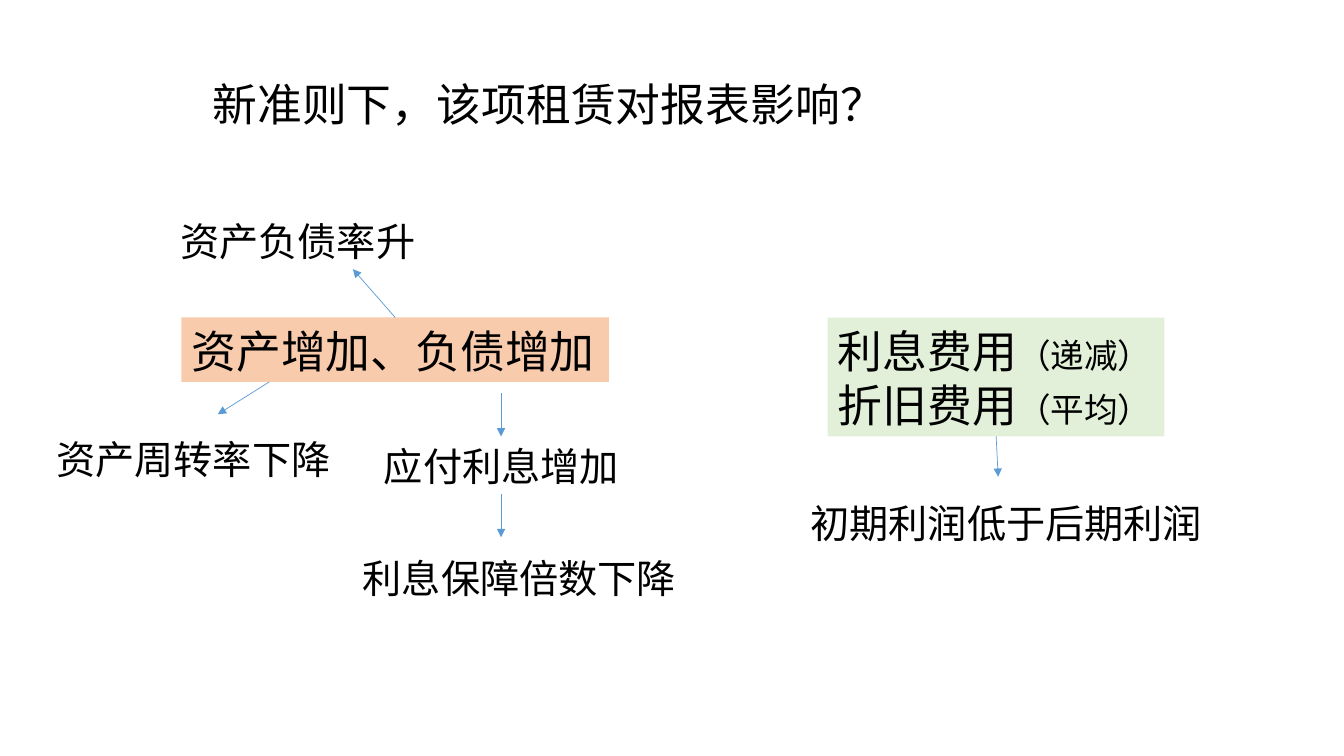
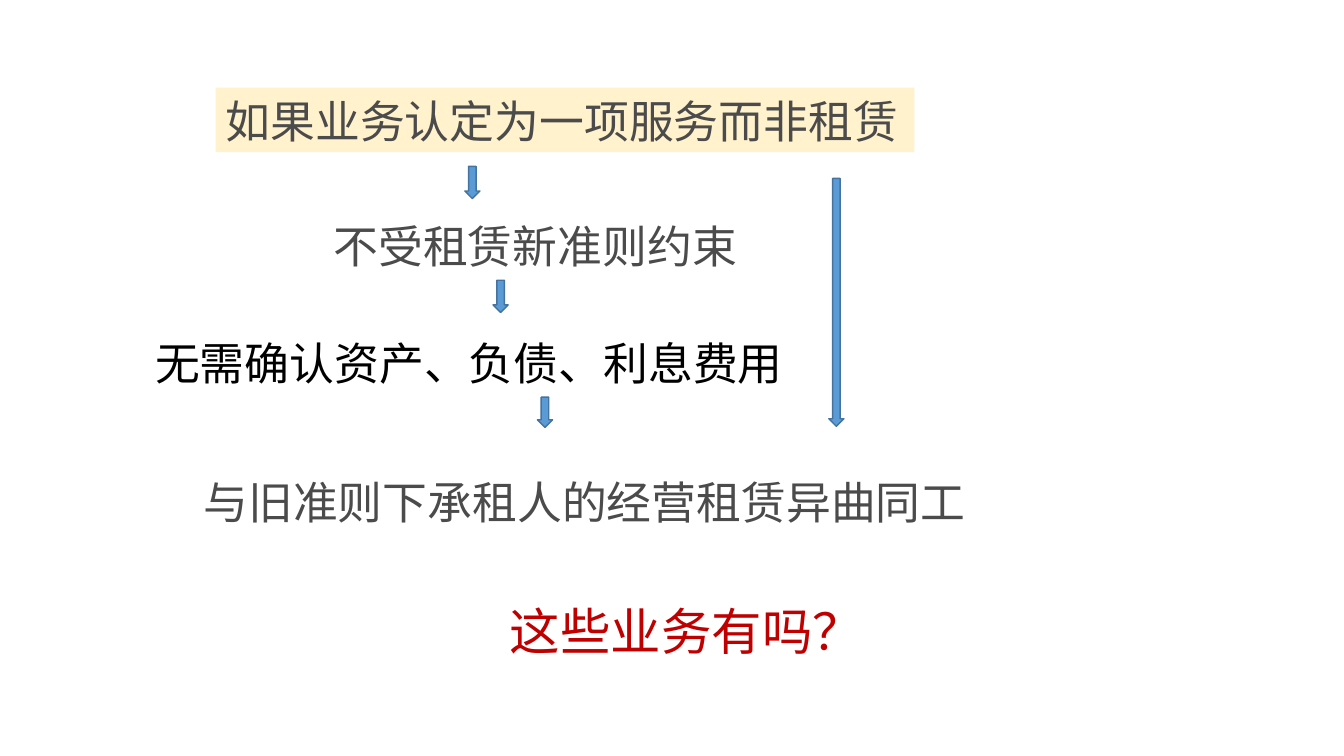
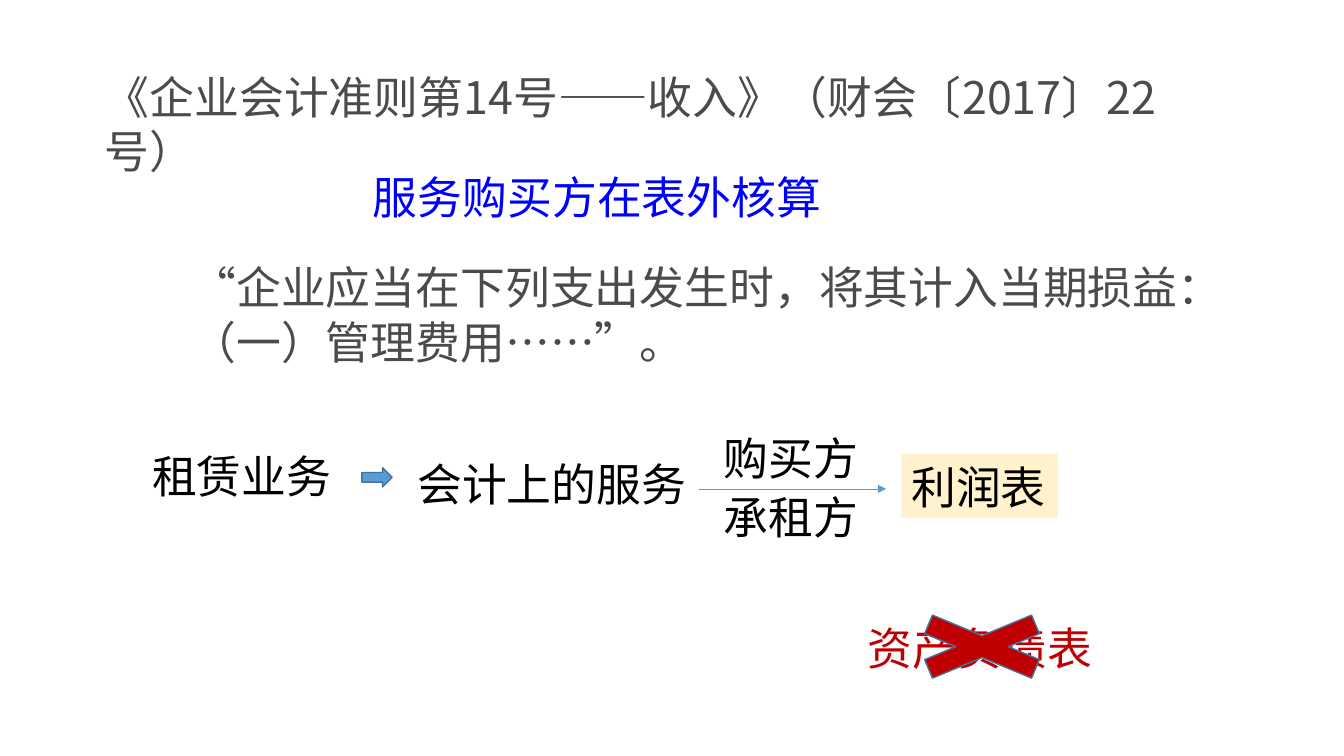
from lxml import etree
from pptx import Presentation
from pptx import util as u
from pptx.dml import color
from pptx.enum import shapes, text
from pptx.oxml import ns

SANS = "Noto Sans CJK SC"
BODY = "Calibri"
WEB = "Roboto"
BLACK, GREY, RED, BLUE = "000000", "4B4B4B", "C00000", "0000FF"
ORANGE, GREEN, CREAM = "F8CBAD", "E2F0D9", "FFF2CC"
ACCENT, EDGE = "5B9BD5", "43739E"
DOWN = shapes.MSO_SHAPE.DOWN_ARROW
LINE_HEIGHT = 1.22


def rgb(value):
    return color.RGBColor.from_string(value)


class Deck:
    def __init__(self):
        self.presentation = Presentation()
        self.presentation.slide_width = u.Inches(13.33)
        self.presentation.slide_height = u.Inches(7.5)
        self.slide = None

    def new_slide(self):
        self.slide = self.presentation.slides.add_slide(self.presentation.slide_layouts[6])

    def label(self, box, paragraphs, size=32, ink=BLACK, font=SANS, fill=None, wrap=False):
        area = [u.Inches(length) for length in box]
        if fill:
            shape = self.slide.shapes.add_shape(shapes.MSO_SHAPE.RECTANGLE, *area)
            shape.shadow.inherit = False
            shape.fill.solid()
            shape.fill.fore_color.rgb = rgb(fill)
            shape.line.fill.background()
        else:
            shape = self.slide.shapes.add_textbox(*area)
        frame = shape.text_frame
        frame.word_wrap = wrap
        frame.auto_size = text.MSO_AUTO_SIZE.SHAPE_TO_FIT_TEXT
        frame.vertical_anchor = text.MSO_ANCHOR.TOP
        if isinstance(paragraphs, str):
            paragraphs = [[(paragraphs, size)]]
        for index, runs in enumerate(paragraphs):
            paragraph = frame.add_paragraph() if index else frame.paragraphs[0]
            paragraph.alignment = text.PP_ALIGN.LEFT
            paragraph.line_spacing = u.Pt(size * LINE_HEIGHT)
            for words, points in runs:
                self.add_run(paragraph, words, points, ink, font)
        return shape

    def add_run(self, paragraph, words, points, ink, font):
        run = paragraph.add_run()
        run.text = words
        run.font.size = u.Pt(points)
        run.font.name = font
        run.font.color.rgb = rgb(ink)
        east_asian = etree.SubElement(run.font._element, ns.qn("a:ea"))
        east_asian.set("typeface", SANS)

    def symbol(self, kind, box, fill=ACCENT):
        shape = self.slide.shapes.add_shape(kind, *[u.Inches(length) for length in box])
        shape.shadow.inherit = False
        shape.fill.solid()
        shape.fill.fore_color.rgb = rgb(fill)
        shape.line.color.rgb = rgb(EDGE)
        shape.line.width = u.Pt(1)

    def arrow(self, start, end, source=None, side=None):
        connector = self.slide.shapes.add_connector(
            shapes.MSO_CONNECTOR.STRAIGHT, *[u.Inches(length) for length in start + end])
        if source is not None:
            connector.begin_connect(source, side)
        connector.line.color.rgb = rgb(ACCENT)
        connector.line.width = u.Pt(0.5)
        head = etree.SubElement(connector.line._get_or_add_ln(), ns.qn("a:tailEnd"))
        head.set("type", "triangle")
        etree.SubElement(connector._element.spPr, ns.qn("a:effectLst"))


def statement_effects(deck):
    deck.new_slide()
    deck.label((2.01, 0.7, 6.93, 0.64), "新准则下，该项租赁对报表影响？")
    balance = deck.label((1.8, 3.15, 4.24, 0.64), "资产增加、负债增加", fill=ORANGE)
    expenses = deck.label((8.21, 3.15, 3.34, 1.18), [
        [("利息费用", 32), ("（递减）", 24)],
        [("折旧费用", 32), ("（平均）", 24)],
    ], fill=GREEN)
    for left, top, width, words in (
        (1.69, 2.1, 2.56, "资产负债率升"),
        (3.71, 4.33, 2.56, "应付利息增加"),
        (3.5, 5.44, 3.34, "利息保障倍数下降"),
        (0.46, 4.26, 2.95, "资产周转率下降"),
        (7.94, 4.9, 4.13, "初期利润低于后期利润"),
    ):
        deck.label((left, top, width, 0.57), words, size=28)
    deck.arrow((3.92, 3.15), (3.5, 2.67), balance, 0)
    deck.arrow((9.88, 4.33), (9.9, 4.73), expenses, 2)
    deck.arrow((2.67, 3.79), (2.16, 4.11))
    for top in (3.9, 4.9):
        deck.arrow((4.97, top), (4.97, top + 0.43))


def service_case(deck):
    deck.new_slide()
    deck.label((2.14, 0.87, 6.93, 0.64), "如果业务认定为一项服务而非租赁", ink=GREY, fill=CREAM)
    deck.label((3.21, 2.11, 4.24, 0.64), "不受租赁新准则约束", ink=GREY, font=WEB)
    deck.label((1.44, 3.27, 6.48, 0.64), "无需确认资产、负债、利息费用", font=BODY)
    deck.label((1.92, 4.65, 7.83, 0.64), "与旧准则下承租人的经营租赁异曲同工", ink=GREY)
    deck.label((4.96, 5.89, 3.74, 0.71), "这些业务有吗？", size=36, ink=RED)
    for left, top, height in ((4.61, 1.65, 0.32), (4.89, 2.78, 0.32),
                              (5.33, 3.94, 0.3), (8.22, 1.77, 2.46)):
        deck.symbol(DOWN, (left, top, 0.15, height))


def revenue_standard(deck):
    deck.new_slide()
    deck.label((0.94, 0.63, 11.31, 1.18),
               "《企业会计准则第14号——收入》（财会〔2017〕22号）", ink=GREY, wrap=True)
    deck.label((3.6, 1.63, 4.69, 0.64), "服务购买方在表外核算", ink=BLUE, font=WEB)
    deck.label((1.8, 2.52, 11.52, 1.18), [
        [("“企业应当在下列支出发生时，将其计入当期损益：", 32)],
        [("（一）管理费用……”。", 32)],
    ], ink=GREY, font=WEB, wrap=True)
    deck.label((8.51, 6.1, 2.45, 0.64), "资产负债表", ink=RED, font=BODY)
    deck.symbol(shapes.MSO_SHAPE.MATH_MULTIPLY, (8.72, 5.99, 2.04, 0.85), RED)
    deck.arrow((6.93, 4.85), (8.79, 4.85))
    for top, party in ((4.22, "购买方"), (4.8, "承租方")):
        deck.label((7.08, top, 1.55, 0.64), party)
    deck.label((8.94, 4.5, 1.55, 0.64), "利润表", font=BODY, fill=CREAM)
    deck.label((4.04, 4.47, 2.89, 0.64), "会计上的服务", font=BODY)
    deck.label((1.41, 4.39, 2, 0.64), "租赁业务", font=BODY)
    deck.symbol(shapes.MSO_SHAPE.RIGHT_ARROW, (3.59, 4.64, 0.3, 0.19))


def main():
    deck = Deck()
    statement_effects(deck)
    service_case(deck)
    revenue_standard(deck)
    deck.presentation.save("out.pptx")


if __name__ == "__main__":
    main()
